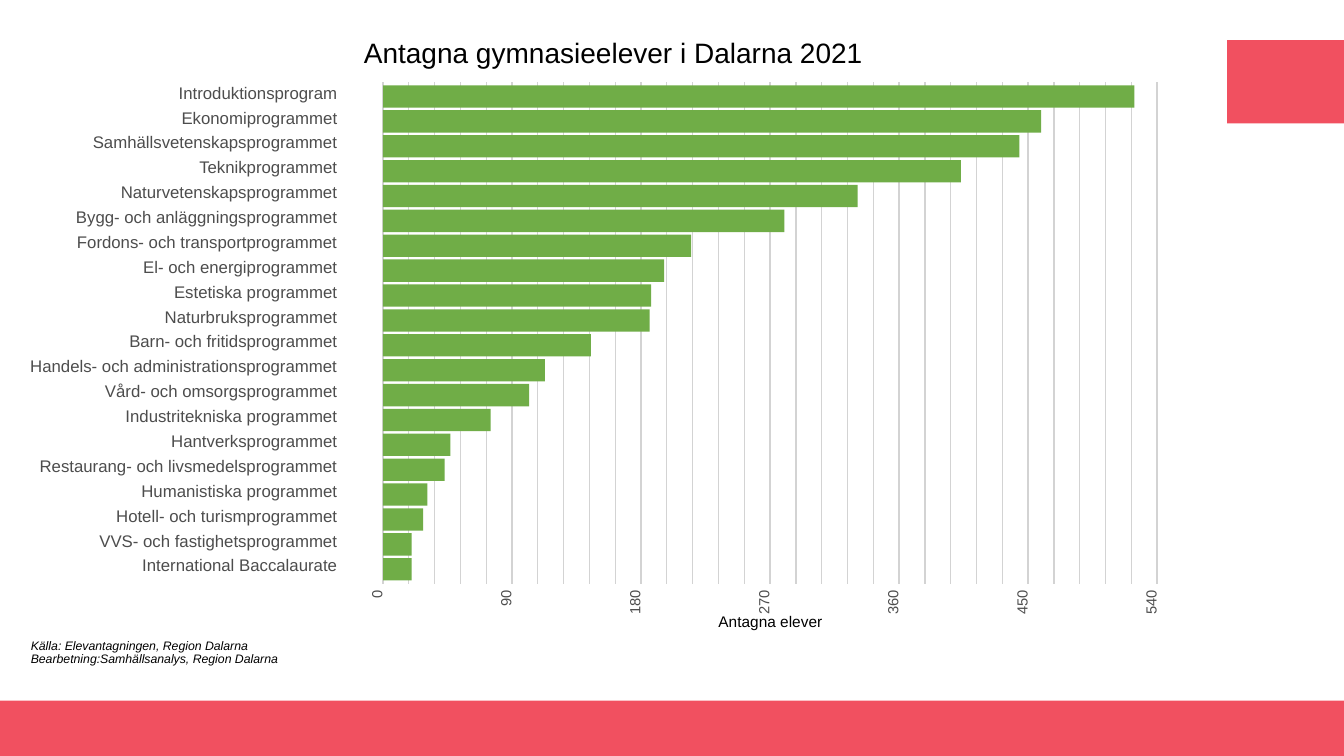
from lxml import etree
from pptx import Presentation
from pptx.dml.color import RGBColor
from pptx.enum.shapes import MSO_CONNECTOR, MSO_SHAPE
from pptx.enum.text import MSO_ANCHOR, PP_ALIGN
from pptx.oxml.ns import qn
from pptx.util import Pt

THEME = {
    "font": "Arial",
    "accent": RGBColor(0xF1, 0x50, 0x60),
    "bar": RGBColor(0x70, 0xAD, 0x47),
    "grid": RGBColor(0xD3, 0xD3, 0xD3),
    "label": RGBColor(0x4D, 0x4D, 0x4D),
    "text": RGBColor(0, 0, 0),
    "title_size": 20,
    "category_size": 12,
    "axis_title_size": 11,
    "tick_size": 10.5,
    "source_size": 8.8,
}

PROGRAMMES = [
    ("Introduktionsprogram", 524),
    ("Ekonomiprogrammet", 459),
    ("Samhällsvetenskapsprogrammet", 444),
    ("Teknikprogrammet", 403),
    ("Naturvetenskapsprogrammet", 331),
    ("Bygg- och anläggningsprogrammet", 280),
    ("Fordons- och transportprogrammet", 215),
    ("El- och energiprogrammet", 196),
    ("Estetiska programmet", 187),
    ("Naturbruksprogrammet", 186),
    ("Barn- och fritidsprogrammet", 145),
    ("Handels- och administrationsprogrammet", 113),
    ("Vård- och omsorgsprogrammet", 102),
    ("Industritekniska programmet", 75),
    ("Hantverksprogrammet", 47),
    ("Restaurang- och livsmedelsprogrammet", 43),
    ("Humanistiska programmet", 31),
    ("Hotell- och turismprogrammet", 28),
    ("VVS- och fastighetsprogrammet", 20),
    ("International Baccalaurate", 20),
]

# Plot geometry in points
PLOT_LEFT, PLOT_TOP, PLOT_BOTTOM = 273.6, 58.3, 416.9
PLOT_WIDTH, AXIS_MAX = 553, 540
MINOR_UNIT, MAJOR_UNIT = 18, 90
SCALE = PLOT_WIDTH / AXIS_MAX
FIRST_BAR, ROW_STEP, BAR_HEIGHT = 61, 17.77, 16


def add_block(s, x, y, w, h, color):
    """Add a plain filled rectangle."""
    sp = s.shapes.add_shape(MSO_SHAPE.RECTANGLE, Pt(x), Pt(y), Pt(w), Pt(h))
    sp.shadow.inherit = False
    sp.fill.solid()
    sp.fill.fore_color.rgb = color
    sp.line.fill.background()


def add_text(s, text, x, middle, w, size, color, align=PP_ALIGN.LEFT, italic=False):
    """Add one line of text centred on a height, and return its box."""
    box = s.shapes.add_textbox(Pt(x), Pt(middle - size / 2), Pt(w), Pt(size))
    tf = box.text_frame
    tf.word_wrap = True
    tf.margin_left = tf.margin_right = tf.margin_top = tf.margin_bottom = 0
    tf.vertical_anchor = MSO_ANCHOR.MIDDLE
    tf.text = text
    p = tf.paragraphs[0]
    p.alignment = align
    p.line_spacing = Pt(size)
    font = p.runs[0].font
    font.name = THEME["font"]
    font.size = Pt(size)
    font.italic = italic
    font.color.rgb = color
    return box


prs = Presentation()
prs.slide_width, prs.slide_height = Pt(960), Pt(540)
s = prs.slides.add_slide(prs.slide_layouts[6])

# Red band and corner block
add_block(s, 0, 500.5, 960, 39.5, THEME["accent"])
add_block(s, 876.6, 28.6, 83.4, 59.6, THEME["accent"])

# Gridlines, heavier at each major unit
for value in range(0, AXIS_MAX + 1, MINOR_UNIT):
    x = PLOT_LEFT + value * SCALE
    gridline = s.shapes.add_connector(MSO_CONNECTOR.STRAIGHT, Pt(x), Pt(PLOT_BOTTOM),
                                      Pt(x), Pt(PLOT_TOP))
    gridline.line.color.rgb = THEME["grid"]
    gridline.line.width = Pt(0.85 if value % MAJOR_UNIT else 1.71)
    etree.SubElement(gridline.element.spPr, qn("a:effectLst"))

# Bars with programme names
for row, (name, count) in enumerate(PROGRAMMES):
    y = FIRST_BAR + row * ROW_STEP
    add_block(s, PLOT_LEFT, y, count * SCALE, BAR_HEIGHT, THEME["bar"])
    add_text(s, name, 10, y + 6.3, 231, THEME["category_size"], THEME["label"],
             PP_ALIGN.RIGHT)

# Upright axis numbers
for value in range(0, AXIS_MAX + 1, MAJOR_UNIT):
    x = PLOT_LEFT + value * SCALE - 3.6
    tick = add_text(s, str(value), x - 10, 431.8, 20, THEME["tick_size"],
                    THEME["label"], PP_ALIGN.RIGHT)
    tick.rotation = 270

# Axis title, heading and source
add_text(s, "Antagna elever", 513.2, 445, 90, THEME["axis_title_size"], THEME["text"])
add_text(s, "Antagna gymnasieelever i Dalarna 2021", 259.9, 39.6, 380,
         THEME["title_size"], THEME["text"])
for line, middle in [("Källa: Elevantagningen, Region Dalarna", 461.9),
                     ("Bearbetning:Samhällsanalys, Region Dalarna", 471.2)]:
    add_text(s, line, 22, middle, 240, THEME["source_size"], THEME["text"], italic=True)

prs.save("out.pptx")
